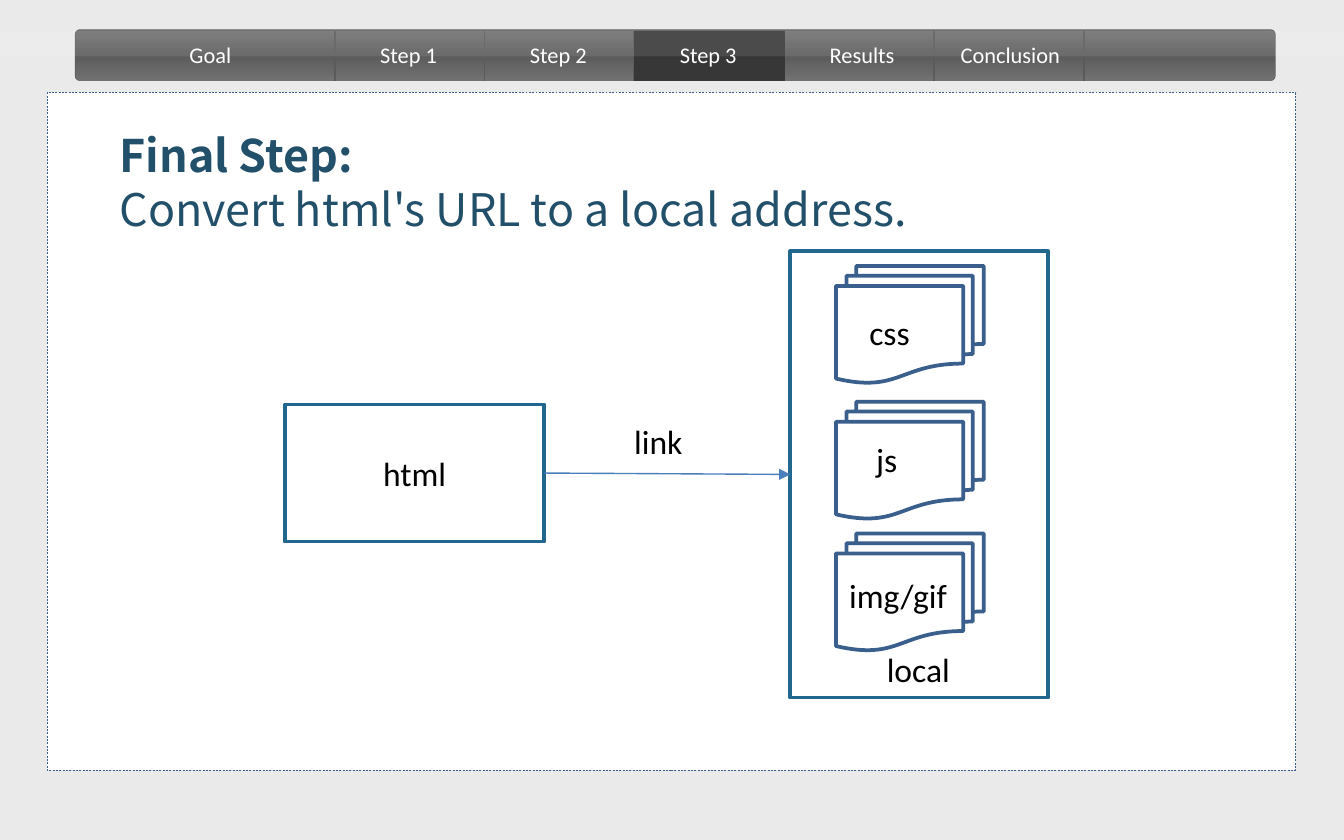
import copy
import pptx
import pptx.util
import pptx.dml.color
import pptx.enum.dml
import pptx.enum.shapes
import pptx.enum.text
import pptx.oxml
import pptx.oxml.ns

SHAPE = pptx.enum.shapes.MSO_SHAPE
ALIGN = pptx.enum.text.PP_ALIGN
ANCHOR = pptx.enum.text.MSO_ANCHOR
STRAIGHT = pptx.enum.shapes.MSO_CONNECTOR.STRAIGHT
qn = pptx.oxml.ns.qn

# Content; lengths are cells of a grid of 100 columns by 62.5 rows
TITLE = [("Final Step:", True), ("Convert html's URL to a local address.", False)]
TITLE_BOX = (7.9, 9, 83.2, 9.1)
BAR = (5.6, 2.2, 89.3, 3.8)
TAB_LEFT, TAB_STEP, ACTIVE = 24.9, 11.15, 2
TABS = [("Step 1", 2.4, 7.9), ("Step 2", 2.4, 7.9), ("Step 3", 2.4, 7.9),
        ("Results", 2.4, 7.9), ("Conclusion", 1, 10.6)]  # label, indent, width
DOCS = [("css", 19.8, (63.7, 22.7)), ("js", 29.9, (64.2, 32.2)),
        ("img/gif", 39.7, (62.2, 42.3))]  # label, top, label corner
HTML_BOX = (21.2, 30.1, 19.3, 10.2)
LOCAL_BOX = (58.8, 18.7, 19.2, 33.2)
CAPTIONS = [("local", (65, 47.8, 9.4, 4)), ("link", (46.2, 30.8, 11.2, 4))]

NAV = {"name": "Calibri", "size": pptx.util.Pt(12)}
LABEL = {"name": "Calibri", "size": pptx.util.Pt(18)}
HEAD = {"name": "Noto Sans CJK SC", "size": pptx.util.Pt(24)}

prs = pptx.Presentation()
prs.slide_width, prs.slide_height = pptx.util.Inches(10), pptx.util.Inches(6.25)
COL, ROW = prs.slide_width / 100, prs.slide_height / 62.5
s = prs.slides.add_slide(prs.slide_layouts[5])


def rgb(value):
    return pptx.dml.color.RGBColor.from_string(value)


def cells(x, y, *size):
    return [round(v * unit) for v, unit in zip((x, y, *size), (COL, ROW, COL, ROW))]


def paint_line(line, color, width):
    line.color.rgb = rgb(color)
    line.width = pptx.util.Pt(width)


def add_shape(kind, box, fill, line=None, width=0.25):
    sp = s.shapes.add_shape(kind, *cells(*box))
    sp.shadow.inherit = False
    if fill:
        sp.fill.solid()
        sp.fill.fore_color.rgb = rgb(fill)
    if line:
        paint_line(sp.line, line, width)
    else:
        sp.line.fill.background()
    return sp


def add_line(start, end, color, width):
    line = s.shapes.add_connector(STRAIGHT, *cells(*start), *cells(*end))
    paint_line(line.line, color, width)
    line._element.spPr.append(pptx.oxml.parse_xml(
        "<a:effectLst %s/>" % pptx.oxml.ns.nsdecls("a")))
    return line


def write(p, text, style, color, bold=False):
    r = p.add_run()
    r.text = text
    for key, value in {**style, "bold": bold}.items():
        setattr(r.font, key, value)
    r.font.color.rgb = rgb(color)


def add_text(box, text, style, color="000000", align=ALIGN.LEFT):
    tf = s.shapes.add_textbox(*cells(*box)).text_frame
    tf.word_wrap = True
    tf.paragraphs[0].alignment = align
    write(tf.paragraphs[0], text, style, color)


# Background
s.background.fill.solid()
s.background.fill.fore_color.rgb = rgb("EAEAEA")

# Navigation bar with a gradient of three stops
bar = add_shape(SHAPE.ROUNDED_RECTANGLE, BAR, None, "5B5B5B")
bar.adjustments[0] = 0.09
bar.fill.gradient()
bar.fill.gradient_angle = 270
stops = bar._element.spPr.find(".//" + qn("a:gsLst"))
stops.insert(1, copy.deepcopy(stops[0]))
for stop, position, color in zip(bar.fill.gradient_stops, (0, 0.5, 1),
                                 ("717171", "5B5B5B", "717171")):
    stop.position = position
    stop.color.rgb = rgb(color)
for i in range(len(TABS) + 1):
    x = TAB_LEFT + i * TAB_STEP
    add_line((x, 6), (x, 2.3), "5B5B5B", 1)

# Content panel, active tab and gloss
panel = add_shape(SHAPE.RECTANGLE, (3.5, 6.9, 92.9, 50.4), "FFFFFF", "3A5F8C")
panel.line.dash_style = pptx.enum.dml.MSO_LINE.DASH
add_shape(SHAPE.RECTANGLE, (TAB_LEFT + ACTIVE * TAB_STEP, 2.3, TAB_STEP, 3.7),
          "373737", "373737")
gloss = add_shape(SHAPE.RECTANGLE, (0, 2.3, 100, 1.9), "FFFFFF")
color_el = gloss._element.spPr.find(qn("a:solidFill"))[0]
color_el.append(pptx.oxml.parse_xml(
    '<a:alpha %s val="10000"/>' % pptx.oxml.ns.nsdecls("a")))

# Tab labels
add_text((11.1, 2.6, 9.1, 3), "Goal", NAV, "FFFFFF", ALIGN.CENTER)
for i, (label, indent, width) in enumerate(TABS):
    add_text((TAB_LEFT + i * TAB_STEP + indent, 2.6, width, 3), label, NAV, "FFFFFF")

# Title, brought in front of the panel
title = s.shapes.title
s.shapes._spTree.append(title._element)
title.left, title.top, title.width, title.height = cells(*TITLE_BOX)
tf = title.text_frame
tf.auto_size = pptx.enum.text.MSO_AUTO_SIZE.NONE
tf.vertical_anchor = ANCHOR.TOP
for i, (text, bold) in enumerate(TITLE):
    p = tf.add_paragraph() if i else tf.paragraphs[0]
    p.alignment = ALIGN.LEFT
    write(p, text, HEAD, "224F6A", bold)

# Page and local folder
html = add_shape(SHAPE.RECTANGLE, HTML_BOX, "FFFFFF", "22678E", 2)
html.text_frame.vertical_anchor = ANCHOR.MIDDLE
html.text_frame.paragraphs[0].alignment = ALIGN.CENTER
write(html.text_frame.paragraphs[0], "html", LABEL, "000000")
local = add_shape(SHAPE.RECTANGLE, LOCAL_BOX, "FFFFFF", "22678E", 2)

# Documents in the folder
for label, top, corner in DOCS:
    add_shape(SHAPE.FLOWCHART_MULTIDOCUMENT, (62.2, top, 11, 8.7), "FFFFFF", "3A5F8C", 2)
    add_text((*corner, 9.4, 4), label, LABEL)

# Link arrow and captions
arrow = add_line((40.5, 35.2), (58.8, 35.2), "4B7EBC", 0.75)
arrow.begin_connect(html, 3)
arrow.end_connect(local, 1)
arrow.line._get_or_add_ln().append(pptx.oxml.parse_xml(
    '<a:tailEnd %s type="triangle"/>' % pptx.oxml.ns.nsdecls("a")))
for text, box in CAPTIONS:
    add_text(box, text, LABEL)

prs.save("out.pptx")
